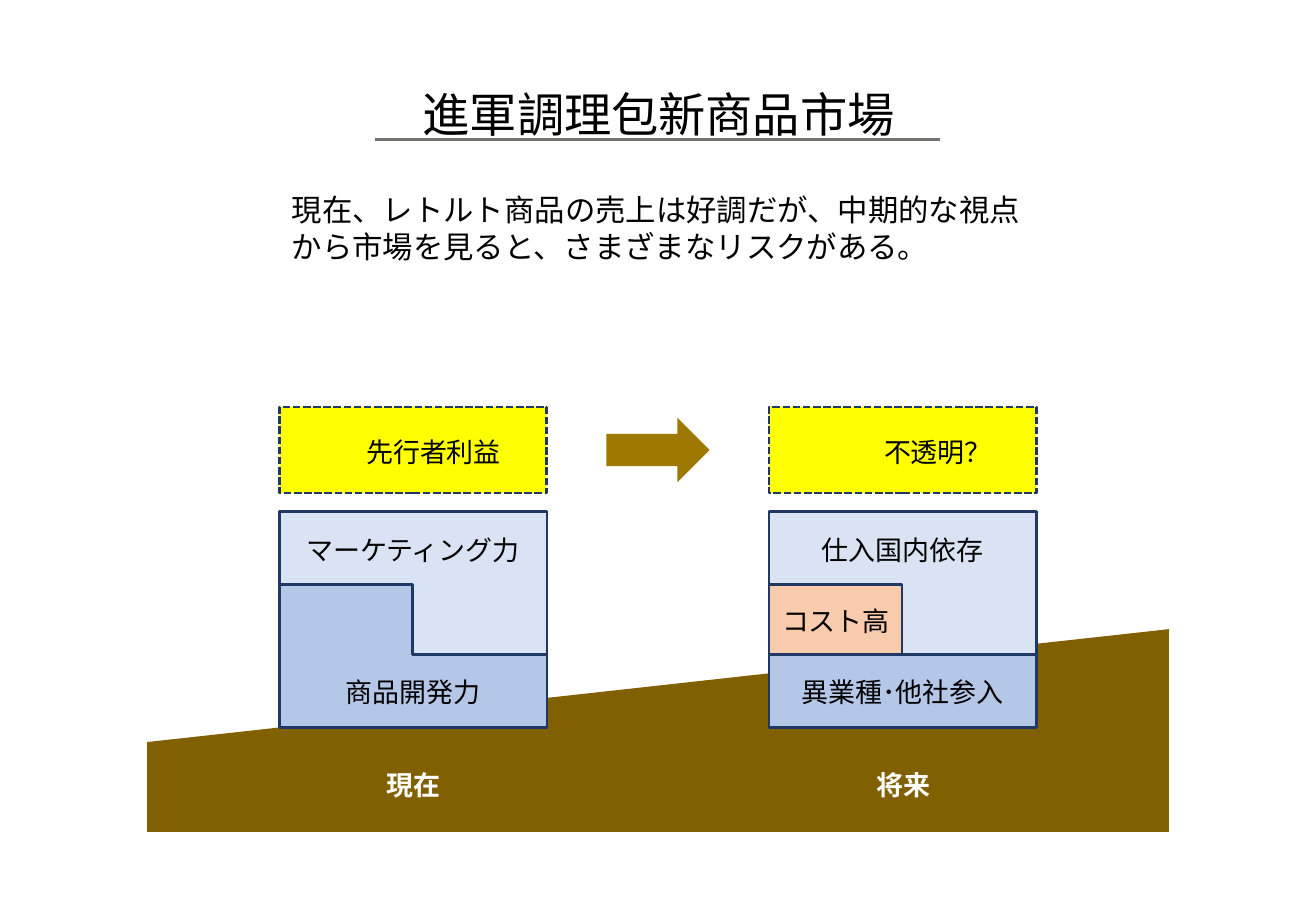
"""Build the slide comparing today's and tomorrow's retort-pouch market."""
from dataclasses import dataclass

from pptx import Presentation
from pptx.dml.color import RGBColor
from pptx.enum.dml import MSO_LINE
from pptx.enum.shapes import MSO_CONNECTOR, MSO_SHAPE
from pptx.enum.text import MSO_ANCHOR, MSO_AUTO_SIZE, PP_ALIGN
from pptx.oxml.ns import qn
from pptx.util import Inches, Pt

RECTANGLE = MSO_SHAPE.RECTANGLE
CORNER = MSO_SHAPE.CORNER
TRIANGLE = MSO_SHAPE.RIGHT_TRIANGLE
ARROW = MSO_SHAPE.RIGHT_ARROW
STRAIGHT = MSO_CONNECTOR.STRAIGHT
DASHED = MSO_LINE.SQUARE_DOT
LEFT, CENTER, RIGHT = PP_ALIGN.LEFT, PP_ALIGN.CENTER, PP_ALIGN.RIGHT
TOP, MIDDLE = MSO_ANCHOR.TOP, MSO_ANCHOR.MIDDLE
FIT_SHAPE = MSO_AUTO_SIZE.SHAPE_TO_FIT_TEXT


@dataclass(frozen=True)
class Theme:
    font: str = "Noto Sans CJK JP"
    title_size: int = 28
    body_size: int = 18
    label_size: int = 16
    line_width: float = 1.5
    black: str = "000000"
    white: str = "FFFFFF"
    ground: str = "806000"
    arrow: str = "9E7800"
    outline: str = "203864"
    rule: str = "767171"
    yellow: str = "FFFF00"
    blue: str = "B4C7E7"
    pale_blue: str = "DAE3F3"
    orange: str = "F8CBAD"


@dataclass(frozen=True)
class Block:
    kind: int
    left: float
    top: float
    width: float
    height: float
    fill: str
    outlined: bool = True
    dashed: bool = False
    rotation: int = 0


@dataclass(frozen=True)
class Label:
    text: str
    left: float
    top: float
    width: float
    align: int = CENTER
    anchor: int = TOP
    color: str = "000000"
    bold: bool = False


THEME = Theme()
NOW, FUTURE = 2.3, 6.33
STACK_WIDTH, CORNER_HEIGHT, LABEL_HEIGHT = 2.2, 1.18, 0.37
GROUND_LEFT, GROUND_WIDTH = 1.21, 8.41
PROFIT_TOP, UPPER_TOP, STEP_TOP, BASE_TOP = 3.35, 4.21, 4.81, 5.39


def yellow_box(left: float) -> Block:
    return Block(RECTANGLE, left, PROFIT_TOP, STACK_WIDTH, 0.71, THEME.yellow, dashed=True)


def upper_corner(left: float) -> Block:
    return Block(CORNER, left, UPPER_TOP, STACK_WIDTH, CORNER_HEIGHT, THEME.pale_blue, rotation=180)


BLOCKS = [
    Block(TRIANGLE, GROUND_LEFT, 5.18, GROUND_WIDTH, 0.93, THEME.ground, outlined=False),
    Block(RECTANGLE, GROUND_LEFT, 6.11, GROUND_WIDTH, 0.74, THEME.ground, outlined=False),
    Block(CORNER, NOW, STEP_TOP, STACK_WIDTH, CORNER_HEIGHT, THEME.blue),
    yellow_box(NOW),
    upper_corner(NOW),
    Block(RECTANGLE, FUTURE, STEP_TOP, STACK_WIDTH / 2, 0.58, THEME.orange),
    Block(RECTANGLE, FUTURE, BASE_TOP, STACK_WIDTH, 0.6, THEME.blue),
    upper_corner(FUTURE),
    yellow_box(FUTURE),
    Block(ARROW, 4.99, 3.44, 0.85, 0.53, THEME.arrow, outlined=False),
]

LABELS = [
    Label("先行者利益", 2.84, 3.54, 1.38, align=RIGHT),
    Label("不透明？", 6.88, 3.54, 1.38, align=RIGHT),
    Label("マーケティング力", 2.37, 4.34, 2.06, anchor=MIDDLE),
    Label("仕入国内依存", 6.4, 4.34, 2.06, anchor=MIDDLE),
    Label("コスト高", 6.25, 4.93, 1.26),
    Label("商品開発力", 2.53, 5.51, 1.74, anchor=MIDDLE),
    Label("異業種･他社参入", 6.4, 5.51, 2.06, anchor=MIDDLE),
    Label("現在", 2.88, 6.28, 1.05, color=THEME.white, bold=True),
    Label("将来", 6.91, 6.28, 1.05, color=THEME.white, bold=True),
]


def write_text(shape, text: str, *, size: int, align: int = LEFT, anchor: int = TOP,
               color: str = THEME.black, bold: bool = False) -> None:
    frame = shape.text_frame
    frame.word_wrap = True
    frame.auto_size = FIT_SHAPE
    frame.vertical_anchor = anchor
    paragraph = frame.paragraphs[0]
    paragraph.alignment = align
    paragraph.space_before = Pt(0)
    run = paragraph.add_run()
    run.text = text
    font = run.font
    font.size, font.bold, font.name = Pt(size), bold, THEME.font
    font.color.rgb = RGBColor.from_string(color)
    east_asian = run._r.get_or_add_rPr().makeelement(qn("a:ea"), {"typeface": THEME.font})
    run._r.rPr.find(qn("a:latin")).addnext(east_asian)


def place(shape, left: float, top: float, width: float, height: float) -> None:
    shape.left, shape.top = Inches(left), Inches(top)
    shape.width, shape.height = Inches(width), Inches(height)


def remove_bullet(paragraph) -> None:
    properties = paragraph._p.get_or_add_pPr()
    properties.set("marL", "0")
    properties.set("indent", "0")
    properties.append(properties.makeelement(qn("a:buNone"), {}))


def draw_block(slide, block: Block) -> None:
    shape = slide.shapes.add_shape(block.kind, Inches(block.left), Inches(block.top),
                                   Inches(block.width), Inches(block.height))
    shape.shadow.inherit = False
    shape.rotation = block.rotation
    shape.fill.solid()
    shape.fill.fore_color.rgb = RGBColor.from_string(block.fill)
    if block.kind == CORNER:
        shape.adjustments[0], shape.adjustments[1] = 0.51, 0.937
    if block.kind == TRIANGLE:
        shape._element.spPr.find(qn("a:xfrm")).set("flipH", "1")
    if not block.outlined:
        shape.line.fill.background()
        return
    shape.line.color.rgb = RGBColor.from_string(THEME.outline)
    shape.line.width = Pt(THEME.line_width)
    if block.dashed:
        shape.line.dash_style = DASHED


def draw_label(slide, label: Label) -> None:
    box = slide.shapes.add_textbox(Inches(label.left), Inches(label.top),
                                   Inches(label.width), Inches(LABEL_HEIGHT))
    write_text(box, label.text, size=THEME.label_size, align=label.align,
               anchor=label.anchor, color=label.color, bold=label.bold)


def draw_title_rule(slide) -> None:
    rule = slide.shapes.add_connector(STRAIGHT, Inches(3.09), Inches(1.15), Inches(7.74), Inches(1.15))
    rule.line.color.rgb = RGBColor.from_string(THEME.rule)
    rule.line.width = Pt(THEME.line_width)
    properties = rule._element.spPr
    properties.append(properties.makeelement(qn("a:effectLst"), {}))


def main() -> None:
    presentation = Presentation()
    presentation.slide_width, presentation.slide_height = Inches(10.83), Inches(7.5)
    slide = presentation.slides.add_slide(presentation.slide_layouts[1])
    title, body = slide.shapes.title, slide.placeholders[1]
    place(title, 2.3, 0.65, 6.24, 0.57)
    write_text(title, "進軍調理包新商品市場", size=THEME.title_size, align=CENTER)
    place(body, 2.3, 1.52, 6.24, 0.71)
    remove_bullet(body.text_frame.paragraphs[0])
    write_text(body, "現在、レトルト商品の売上は好調だが、中期的な視点から市場を見ると、さまざまなリスクがある。",
               size=THEME.body_size, anchor=MIDDLE)
    for block in BLOCKS:
        draw_block(slide, block)
    for label in LABELS:
        draw_label(slide, label)
    draw_title_rule(slide)
    presentation.save("out.pptx")


if __name__ == "__main__":
    main()
